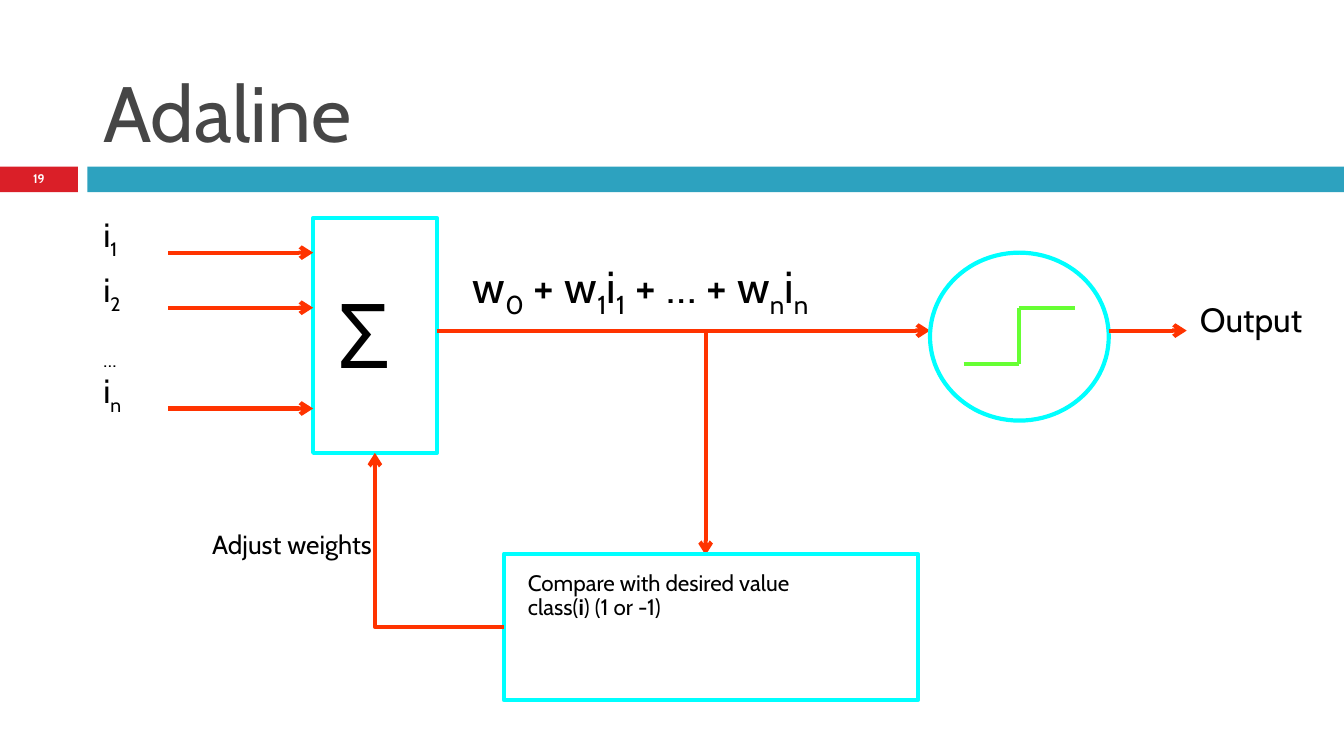
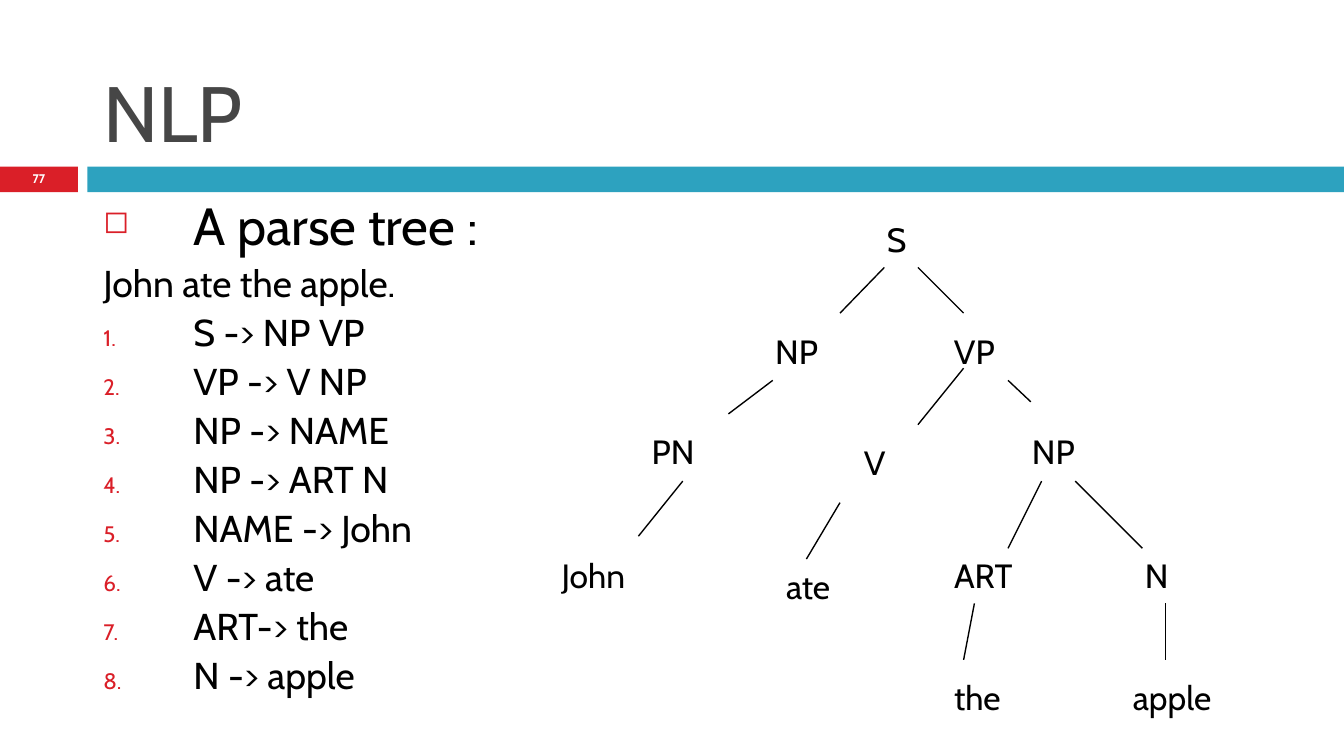
"""Builds two lecture slides: the Adaline diagram and an NLP parse tree."""
from lxml.etree import SubElement
from pptx import Presentation
from pptx.dml.color import RGBColor
from pptx.enum.shapes import MSO_CONNECTOR, MSO_SHAPE
from pptx.enum.text import MSO_ANCHOR, MSO_AUTO_SIZE, PP_ALIGN
from pptx.oxml.ns import qn
from pptx.util import Inches, Pt

COLORS = {
    "title": "464646", "text": "000000", "white": "FFFFFF",
    "red": "DA1F28", "teal": "2DA2BF",
    "box": "00FFFF", "arrow": "FF3300", "step": "66FF33",
}
FONT = "Cabin"


def color(name):
    return RGBColor.from_string(COLORS[name])


def write(p, text, size=18, fill="text", bold=False, sub=False, align=None, spacing=None):
    if align is not None:
        p.alignment = align
    if spacing is not None:
        p.line_spacing = spacing
    for i, line in enumerate(text.split("\n")):
        if i:
            p.add_line_break()
        r = p.add_run()
        r.text = line
        r.font.name = FONT
        r.font.size = Pt(size)
        r.font.bold = bold
        r.font.color.rgb = color(fill)
        if sub:
            r._r.get_or_add_rPr().set("baseline", "-25000")


class Deck:
    def __init__(self):
        self.prs = Presentation()
        self.prs.slide_width = Inches(10)
        self.prs.slide_height = Inches(10) * 9 // 16
        self.s = None

    def slide(self, title, number):
        self.s = self.prs.slides.add_slide(self.prs.slide_layouts[5])
        sp = self.s.shapes.title
        sp.left, sp.top, sp.width, sp.height = map(Inches, (0.67, 0.13, 8.92, 1.1))
        tf = sp.text_frame
        tf.auto_size = MSO_AUTO_SIZE.NONE
        tf.vertical_anchor = MSO_ANCHOR.BOTTOM
        write(tf.paragraphs[0], title, size=42, fill="title", align=PP_ALIGN.LEFT)
        self.shape(0, 1.24, 0.58, 0.19, fill="red")
        self.shape(0.65, 1.24, 9.35, 0.19, fill="teal")
        tf = self.frame(0, 1.23, 0.58, 0.2)
        tf.vertical_anchor = MSO_ANCHOR.MIDDLE
        write(tf.paragraphs[0], number, size=6.7, fill="white", bold=True, align=PP_ALIGN.CENTER)

    def shape(self, x, y, w, h, kind=MSO_SHAPE.RECTANGLE, fill=None, line=None):
        sp = self.s.shapes.add_shape(kind, Inches(x), Inches(y), Inches(w), Inches(h))
        sp.shadow.inherit = False
        if fill:
            sp.fill.solid()
            sp.fill.fore_color.rgb = color(fill)
        else:
            sp.fill.background()
        if line:
            sp.line.color.rgb = color(line)
            sp.line.width = Pt(2.25)
        else:
            sp.line.fill.background()
        return sp

    def frame(self, x, y, w, h):
        tf = self.s.shapes.add_textbox(Inches(x), Inches(y), Inches(w), Inches(h)).text_frame
        tf.word_wrap = True
        return tf

    def label(self, x, y, w, h, *runs, **fmt):
        p = self.frame(x, y, w, h).paragraphs[0]
        for run in runs:
            text, extra = run if isinstance(run, tuple) else (run, {})
            write(p, text, **fmt, **extra)

    def line(self, x1, y1, x2, y2, stroke="text", width=0.75, arrow=False,
             kind=MSO_CONNECTOR.STRAIGHT):
        c = self.s.shapes.add_connector(kind, Inches(x1), Inches(y1), Inches(x2), Inches(y2))
        c.line.color.rgb = color(stroke)
        c.line.width = Pt(width)
        if arrow:
            SubElement(c.line._get_or_add_ln(), qn("a:tailEnd"), type="arrow")
        SubElement(c._element.spPr, qn("a:effectLst"))
        return c

    def arrow(self, x1, y1, x2, y2, **fmt):
        return self.line(x1, y1, x2, y2, stroke="arrow", width=2.25, arrow=True, **fmt)

    def corner(self, start, start_site, end, end_site):
        c = self.arrow(0, 0, 1, 1, kind=MSO_CONNECTOR.ELBOW)
        c.begin_connect(start, start_site)
        c.end_connect(end, end_site)
        c._element.spPr.find(qn("a:prstGeom")).set("prst", "bentConnector2")

    def listing(self, x, y, w, h, items):
        tf = self.frame(x, y, w, h)
        for i, (text, size, bullet) in enumerate(items):
            p = tf.add_paragraph() if i else tf.paragraphs[0]
            pPr = p._p.get_or_add_pPr()
            pPr.set("marL", str(Inches(0.67)))
            pPr.set("indent", str(-Inches(0.67)))
            if bullet:
                tag, attrs = bullet
                clr = SubElement(pPr, qn("a:buClr"))
                SubElement(clr, qn("a:srgbClr"), val=COLORS["red"])
                SubElement(pPr, qn("a:buSzPct"), val="60000")
                SubElement(pPr, qn(tag), **attrs)
            if i:
                p.space_before = Pt(7)
            write(p, text, size=size, spacing=0.8)


def adaline(deck):
    deck.slide("Adaline", "19")
    sub = {"sub": True}
    deck.label(1.48, 3.91, 1.42, 0.69, "Adjust weights", size=14, spacing=0.9)
    summer = deck.shape(2.33, 1.62, 0.92, 1.75, line="box")
    for y, index in ((1.88, "1"), (2.29, "2"), (3.04, "n")):
        deck.arrow(1.25, y, 2.33, y)
        deck.label(0.67, y - 0.33, 0.92, 0.67, "i", (index, sub), spacing=0.9)
    deck.label(0.67, 2.38, 0.92, 0.67, ("…", sub), spacing=0.9)
    deck.label(2.42, 2.12, 0.75, 0.83, "Σ", size=48, spacing=0.9)

    deck.arrow(3.25, 2.46, 6.92, 2.46)
    deck.label(3.42, 1.88, 4.08, 0.67, "w", ("0", sub), " + w", ("1", sub), "i", ("1", sub),
               " + … + w", ("n", sub), "i", ("n", sub), size=24, spacing=0.9)
    deck.shape(6.92, 1.88, 1.33, 1.25, kind=MSO_SHAPE.OVAL, line="box")
    for ends in ((7.17, 2.71, 7.58, 2.71), (7.58, 2.29, 8, 2.29), (7.58, 2.29, 7.58, 2.71)):
        deck.line(*ends, stroke="step", width=2.25)
    deck.arrow(8.25, 2.46, 8.83, 2.46)
    deck.label(8.83, 2.21, 1.58, 0.67, "Output", spacing=0.9)

    deck.arrow(5.25, 2.46, 5.25, 4.13)
    compare = deck.shape(3.75, 4.12, 3.08, 1.09, line="box")
    deck.label(3.83, 4.21, 2.92, 0.94, "Compare with desired value\nclass(",
               ("i", {"bold": True}), ") (1 or -1)", size=12, spacing=0.9)
    deck.corner(compare, 1, summer, 2)


def parse_tree(deck):
    deck.slide("NLP", "77")
    rules = ("S -> NP VP", "VP -> V NP", "NP -> NAME", "NP -> ART N",
             "NAME -> John", "V -> ate", "ART-> the", "N -> apple")
    number = ("a:buAutoNum", {"type": "arabicPeriod"})
    items = [("A parse tree :", 28, ("a:buChar", {"char": "◻"})),
             ("John ate the apple.", 20, None)]
    items += [(rule, 20, number) for rule in rules]
    deck.listing(0.67, 1.48, 4.08, 4.95, items)

    nodes = (("S", 6.5, 1.58, 0.67), ("NP", 5.67, 2.41, 0.83), ("VP", 7, 2.41, 0.67),
             ("PN", 4.75, 3.16, 1.17), ("V", 6.33, 3.24, 0.5), ("NP", 7.58, 3.16, 0.58),
             ("John", 4.08, 4.08, 1.08), ("ate", 5.75, 4.16, 0.75),
             ("ART", 7, 4.08, 0.92), ("N", 8.42, 4.08, 0.75),
             ("the", 7, 4.99, 0.75), ("apple", 8.33, 4.99, 1.42))
    for word, x, y, w in nodes:
        deck.label(x, y, w, 0.4, word)

    branches = ((6.58, 1.99, 6.25, 2.33), (6.83, 1.99, 7.17, 2.33),
                (5.75, 2.83, 5.42, 3.08), (5.08, 3.58, 4.75, 3.99),
                (7.17, 2.74, 6.83, 3.16), (6.25, 3.74, 6, 4.16),
                (7.5, 2.83, 7.67, 2.99), (7.75, 3.58, 7.5, 4.08),
                (8, 3.58, 8.5, 4.08), (7.25, 4.49, 7.17, 4.91),
                (8.67, 4.49, 8.67, 4.91))
    for branch in branches:
        deck.line(*branch)


def main():
    deck = Deck()
    adaline(deck)
    parse_tree(deck)
    deck.prs.save("out.pptx")


if __name__ == "__main__":
    main()
